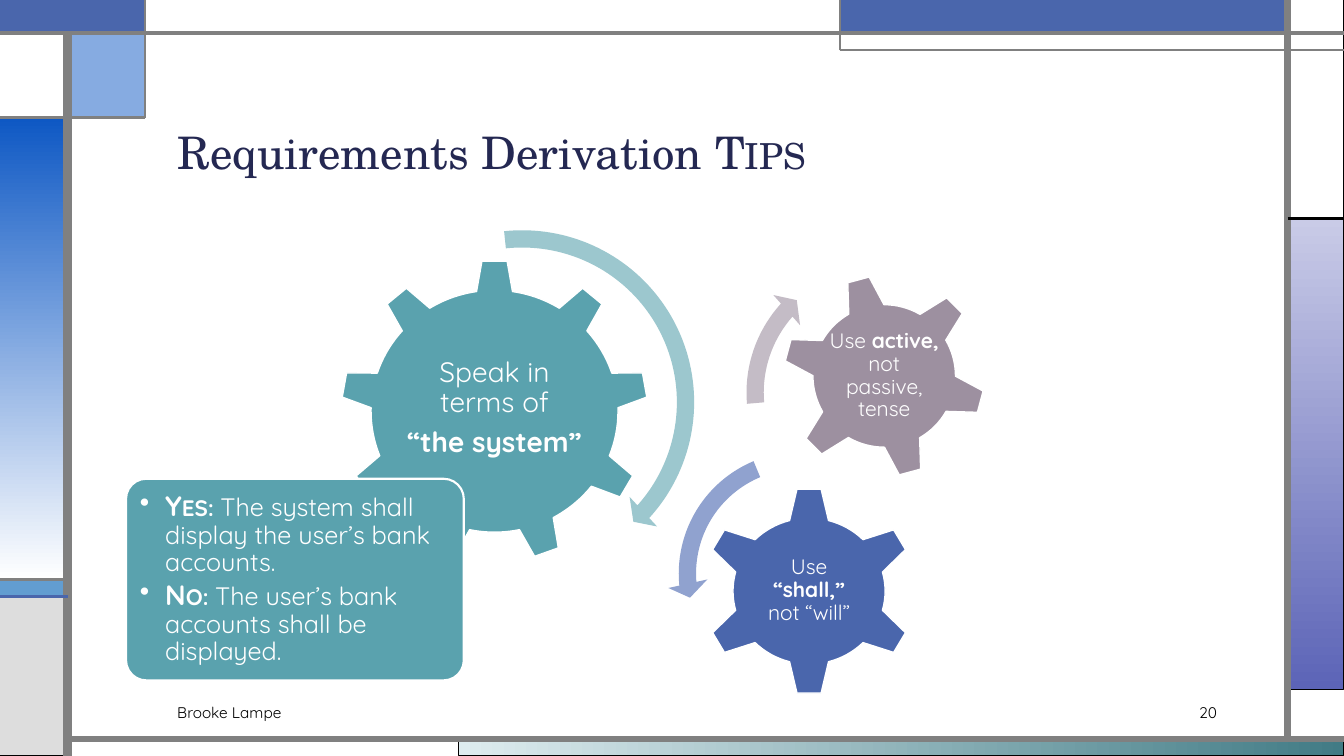
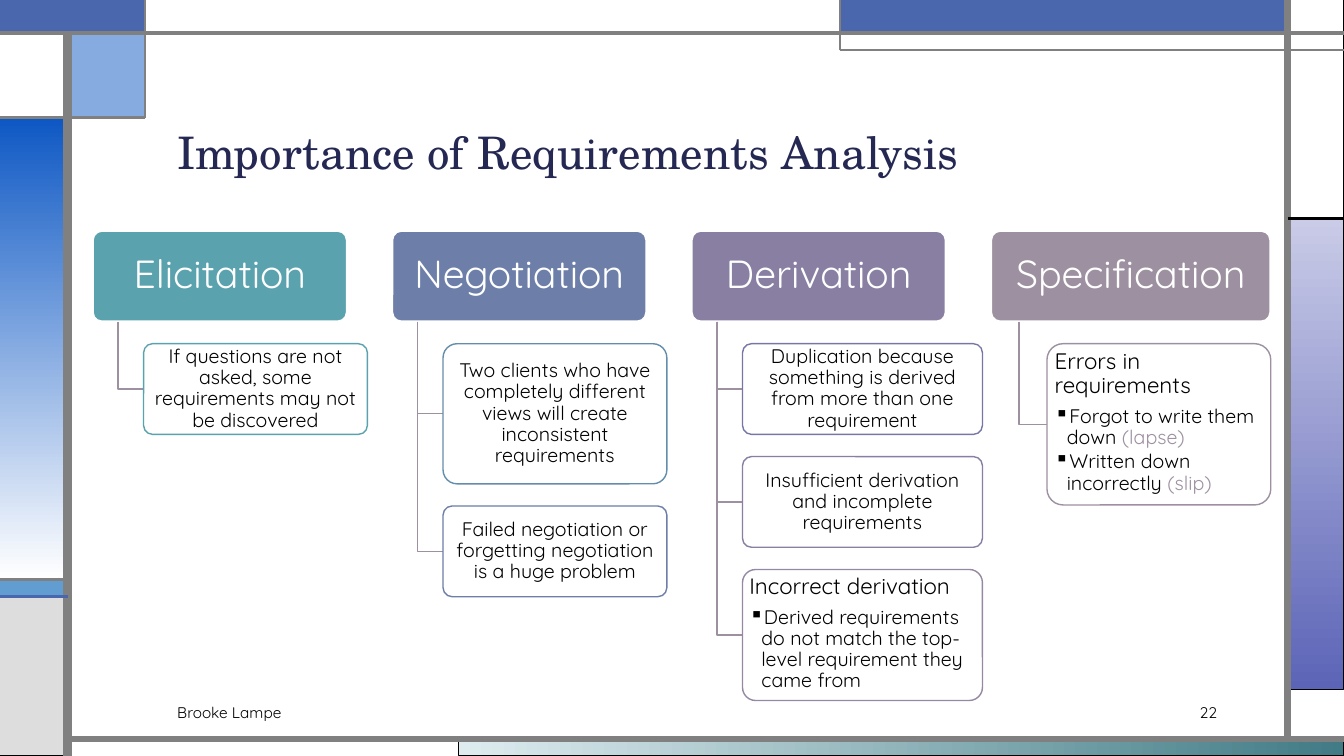
"""Builds two slides on requirements: derivation tips and importance of analysis."""
import lxml.etree
import pptx
import pptx.dml.color
import pptx.enum.shapes
import pptx.enum.text
import pptx.oxml.ns
import pptx.util

Inches, Pt = pptx.util.Inches, pptx.util.Pt
RGB = pptx.dml.color.RGBColor
SHAPE = pptx.enum.shapes.MSO_SHAPE
ALIGN = pptx.enum.text.PP_ALIGN
ANCHOR = pptx.enum.text.MSO_ANCHOR
qn = pptx.oxml.ns.qn

WHITE, BLACK, GRAY = RGB(255, 255, 255), RGB(0, 0, 0), RGB(0x80, 0x80, 0x80)
SILVER, NAVY = RGB(0xDD, 0xDD, 0xDD), RGB(0x24, 0x28, 0x52)
BLUE, COBALT = RGB(0x4A, 0x66, 0xAC), RGB(0x0E, 0x58, 0xC4)
SKY, AZURE = RGB(0x62, 0x9D, 0xD1), RGB(0x29, 0x7F, 0xD5)
MIST, PINE = RGB(0xDE, 0xEC, 0xEF), RGB(0x41, 0x7B, 0x85)
LILAC, INDIGO = RGB(0xC9, 0xCB, 0xE7), RGB(0x5C, 0x64, 0xB7)
TEAL, STEEL = RGB(0x5A, 0xA2, 0xAE), RGB(0x64, 0x8D, 0xAB)
SLATE, VIOLET = RGB(0x6D, 0x7F, 0xA8), RGB(0x76, 0x77, 0xA6)
PURPLE, PLUM = RGB(0x88, 0x7F, 0xA3), RGB(0x96, 0x88, 0xA2)
MAUVE = RGB(0x9D, 0x90, 0xA0)
PALE_TEAL, PALE_BLUE = RGB(0x9C, 0xC7, 0xCE), RGB(0x90, 0xA2, 0xCF)
PALE_MAUVE = RGB(0xC4, 0xBC, 0xC6)

BODY_FONT, TITLE_FONT = "Quicksand", "TeX Gyre Schola"
AUTHOR = "Brooke Lampe"
WIDTH, HEIGHT = 13.33, 7.5
LEFT, RIGHT, TOP, BOTTOM = 0.67, 12.77, 0.33, 7.33
CORNER_X, CORNER_Y, BANNER_X, BANNER_Y = 1.44, 1.17, 8.33, 0.5
SIDE_Y, STRIPE_Y, BLOCK_Y = 2.17, 5.75, 5.92

FRAME_PANELS = [
    ((4.55, BOTTOM, WIDTH, HEIGHT), (MIST, PINE, 0), BLACK, 0.75),
    ((RIGHT, SIDE_Y, WIDTH, 6.84), (LILAC, INDIGO, 270), BLACK, 0.75),
    ((0, STRIPE_Y, LEFT, BLOCK_Y), SKY, BLACK, 0.75),
    ((0, BLOCK_Y, LEFT, HEIGHT), SILVER, BLACK, 0.75),
    ((RIGHT, 0, WIDTH, SIDE_Y), WHITE, BLACK, 0.75),
    ((BANNER_X, 0, RIGHT, TOP), BLUE, AZURE, 0.75),
    ((LEFT, TOP, CORNER_X, CORNER_Y), (COBALT, 50), BLACK, 0.75),
    ((0, CORNER_Y, LEFT, STRIPE_Y), (COBALT, WHITE, 270), BLACK, 0.75),
    ((0, TOP, LEFT, CORNER_Y), WHITE, BLACK, 0.75),
    ((0, 0, CORNER_X, TOP), BLUE, BLUE, 1.5),
    ((CORNER_X, 0, BANNER_X, TOP), WHITE, GRAY, 0.75),
]
FRAME_LINES = [
    ((LEFT, HEIGHT, LEFT, TOP), GRAY, 6),
    ((LEFT, BOTTOM, WIDTH, BOTTOM), GRAY, 4.5),
    ((RIGHT, BOTTOM, RIGHT, 0), GRAY, 4.5),
    ((0, TOP, WIDTH, TOP), GRAY, 3),
    ((WIDTH, BANNER_Y, BANNER_X, BANNER_Y), GRAY, 1.5),
    ((BANNER_X, BANNER_Y, BANNER_X, 0), GRAY, 1.5),
    ((RIGHT, SIDE_Y, WIDTH, SIDE_Y), BLACK, 2.25),
    ((CORNER_X, 0, CORNER_X, CORNER_Y), GRAY, 1.5),
    ((CORNER_X, CORNER_Y, 0, CORNER_Y), GRAY, 2.25),
    ((LEFT, STRIPE_Y, 0, STRIPE_Y), GRAY, 2.25),
    ((LEFT, BLOCK_Y, 0, BLOCK_Y), BLUE, 2.25),
]

BOLD = {"bold": True}
LABEL = {"size": 20, "bold": True, "small_caps": True}
FADED = {"color": MAUVE}

TIPS_TITLE = ["Requirements Derivation ", ("Tips", {"small_caps": True})]
SYSTEM_GEAR = (SHAPE.GEAR_9, (3.38, 2.58, 3.05, 3), 0, TEAL, (3.99, 3.28, 1.83, 1.54), 20,
               [["Speak in terms of"], [("“the system”", BOLD)]])
SMALL_GEARS = [
    (SHAPE.GEAR_6, (6.96, 4.83, 2.13, 2.07), 0, BLUE, (7.49, 5.35, 1.07, 1.02), 15,
     [["Use ", ("“shall,” ", BOLD), "not “will”"]]),
    (SHAPE.GEAR_6, (7.76, 2.72, 2.02, 2.02), 345, MAUVE, (8.2, 3.16, 1.14, 1.14), 15,
     [["Use ", ("active,", BOLD), " not passive, tense"]]),
]
EXAMPLES = [
    [("Yes: ", LABEL), "The system shall display the user’s bank accounts."],
    [("No: ", LABEL), "The user’s bank accounts shall be displayed."],
]
SWEEPS = [
    (SHAPE.CIRCULAR_ARROW, (3.36, 2.17, 3.64), PALE_TEAL, 4.7, (4.98, 42.13, 263.95), 5.5),
    (SHAPE.LEFT_CIRCULAR_ARROW, (6.62, 4.37, 2.64), PALE_BLUE, 6.5, (7.17, 174.82, 247.3), 7.5),
    (SHAPE.CIRCULAR_ARROW, (7.29, 2.47, 2.85), PALE_MAUVE, 6, (6.57, 221.9, 175.14), 7),
]

STAGES_TITLE = ["Importance of Requirements Analysis"]
STAGES = [
    ("Elicitation", TEAL, 2.52, 2.22, [
        (0.9, TEAL, "If questions are not asked, some requirements may not be discovered", []),
    ]),
    ("Negotiation", SLATE, 2.52, 2.22, [
        (1.39, STEEL, "Two clients who have completely different views will create "
                      "inconsistent requirements", []),
        (0.9, SLATE, "Failed negotiation or forgetting negotiation is a huge problem", []),
    ]),
    ("Derivation", PURPLE, 2.52, 2.38, [
        (0.9, VIOLET, "Duplication because something is derived from more than one "
                      "requirement", []),
        (0.9, PURPLE, "Insufficient derivation and incomplete requirements", []),
        (1.3, PLUM, "Incorrect derivation", [
            ["Derived requirements do not match the top-level requirement they came from"],
        ]),
    ]),
    ("Specification", MAUVE, 2.77, 2.22, [
        (1.6, MAUVE, "Errors in requirements", [
            ["Forgot to write them down ", ("(lapse)", FADED)],
            ["Written down incorrectly ", ("(slip)", FADED)],
        ]),
    ]),
]
STAGE_X, STAGE_Y, STAGE_PITCH, STAGE_HEIGHT, CARD_GAP = 0.92, 2.29, 2.97, 0.9, 0.22


def write(frame, paragraphs, insets=(0.1, 0.05), anchor=ANCHOR.MIDDLE, **style):
    """Write paragraphs, each a list of runs or a (runs, style) pair."""
    frame.word_wrap = True
    frame.vertical_anchor = anchor
    frame.margin_left = frame.margin_right = Inches(insets[0])
    frame.margin_top = frame.margin_bottom = Inches(insets[1])
    for index, entry in enumerate(paragraphs):
        runs, own = entry if isinstance(entry, tuple) else (entry, {})
        look = {"size": 14, "color": BLACK, "font": BODY_FONT, **style, **own}
        paragraph = frame.paragraphs[0] if index == 0 else frame.add_paragraph()
        paragraph.alignment = look.get("align", ALIGN.LEFT)
        paragraph.line_spacing = look.get("line_spacing", 0.9)
        paragraph.space_after = Pt(round(look["size"] * look.get("after", 0), 1))
        if "bullet" in look:
            paragraph.level = 1
            properties = paragraph._p.get_or_add_pPr()
            properties.set("marL", str(Inches(look["indent"])))
            properties.set("indent", str(-Inches(look["indent"])))
            lxml.etree.SubElement(properties, qn("a:buChar")).set("char", look["bullet"])
        for part in runs:
            words, emphasis = part if isinstance(part, tuple) else (part, {})
            face = {**look, **emphasis}
            run = paragraph.add_run()
            run.text = words
            run.font.name = face["font"]
            run.font.size = Pt(face["size"])
            run.font.color.rgb = face["color"]
            run.font.bold = face.get("bold", False)
            if face.get("small_caps"):
                run._r.get_or_add_rPr().set("cap", "small")


def add_text(slide, box, paragraphs, **style):
    """Add a text box at (left, top, width, height)."""
    write(slide.shapes.add_textbox(*map(Inches, box)).text_frame, paragraphs, **style)


def finish(shape, fill=None, line=None, weight=1):
    """Paint a shape; fill is a colour, (colour, opacity) or (start, end, angle)."""
    if fill is None:
        shape.fill.background()
    elif isinstance(fill, tuple) and len(fill) == 3 and not isinstance(fill, RGB):
        shape.fill.gradient()
        shape.fill.gradient_angle = fill[2]
        for stop, color in zip(shape.fill.gradient_stops, fill):
            stop.color.rgb = color
    else:
        color, opacity = (fill, 100) if isinstance(fill, RGB) else fill
        shape.fill.solid()
        shape.fill.fore_color.rgb = color
        if opacity < 100:
            solid = shape.element.spPr.find(qn("a:solidFill"))
            lxml.etree.SubElement(solid[0], qn("a:alpha")).set("val", str(opacity * 1000))
    if line is None:
        shape.line.fill.background()
    else:
        shape.line.color.rgb = line
        shape.line.width = Pt(weight)
    shape.shadow.inherit = False
    return shape


def add_shape(slide, kind, box, *paint):
    """Add a painted preset shape at (left, top, width, height)."""
    return finish(slide.shapes.add_shape(kind, *map(Inches, box)), *paint)


def add_rounded(slide, box, *paint):
    """Add a rounded box with the shared corner radius."""
    rounded = add_shape(slide, SHAPE.ROUNDED_RECTANGLE, box, *paint)
    rounded.adjustments[0] = 0.1
    return rounded


def build_frame(slide, layout):
    """Draw the decorative frame and move it to the layout."""
    for placeholder in list(layout.placeholders):
        layout.shapes.element.remove(placeholder.element)
    for (left, top, right, bottom), *paint in FRAME_PANELS:
        add_shape(slide, SHAPE.RECTANGLE, (left, top, right - left, bottom - top), *paint)
    for ends, color, weight in FRAME_LINES:
        rule = slide.shapes.add_connector(
            pptx.enum.shapes.MSO_CONNECTOR.STRAIGHT, *map(Inches, ends))
        rule.line.color.rgb = color
        rule.line.width = Pt(weight)
        lxml.etree.SubElement(rule.element.spPr, qn("a:effectLst"))
    for piece in list(slide.shapes):
        layout.shapes.element.append(piece.element)


def add_heading_and_footer(slide, title, number):
    """Add the title, author and page number."""
    add_text(slide, (1.66, 0.58, 10.5, 1.25), [title], anchor=ANCHOR.BOTTOM,
             size=32, font=TITLE_FONT, color=NAVY)
    add_text(slide, (1.66, 6.92, 7.5, 0.3), [[AUTHOR]], size=11, line_spacing=1)
    add_text(slide, (11.09, 6.92, 1.08, 0.3), [[number]], size=11, line_spacing=1,
             align=ALIGN.RIGHT)


def add_gear(slide, kind, box, turn, color, text_box, size, paragraphs):
    """Add a gear with upright text over it."""
    add_shape(slide, kind, box, color, WHITE, 1).rotation = turn
    add_text(slide, text_box, paragraphs, insets=(0.02, 0.02), size=size, color=WHITE,
             align=ALIGN.CENTER, after=0.35)


def build_tips(slide):
    """Draw the gears, the example box and the curved arrows."""
    add_gear(slide, *SYSTEM_GEAR)
    examples = add_rounded(slide, (1.25, 4.75, 3.35, 2), TEAL, WHITE, 1.5)
    write(examples.text_frame, EXAMPLES, insets=(0.08, 0.08), anchor=ANCHOR.TOP, size=18,
          color=WHITE, bullet="•", indent=0.25, after=0.15)
    for gear in SMALL_GEARS:
        add_gear(slide, *gear)
    for kind, (left, top, side), color, thickness, angles, head in SWEEPS:
        sweep = add_shape(slide, kind, (left, top, side, side), color)
        values = [thickness / 100, *(angle * 0.6 for angle in angles), head / 100]
        for index, value in enumerate(values):
            sweep.adjustments[index] = value


def build_stages(slide):
    """Draw each stage header with its cards hanging below."""
    header_bottom = STAGE_Y + STAGE_HEIGHT
    for column, (stage, color, width, card_width, cards) in enumerate(STAGES):
        left = STAGE_X + column * STAGE_PITCH
        header = add_rounded(slide, (left, STAGE_Y, width, STAGE_HEIGHT), color, WHITE, 1.5)
        write(header.text_frame, [[stage]], insets=(0.06, 0.04), size=28, color=WHITE,
              align=ALIGN.CENTER, after=0.35)
        trunk, card_left = left + width * 0.1, left + width * 0.2
        top = header_bottom + CARD_GAP
        for height, outline, lead, points in cards:
            middle = top + height / 2
            branch = slide.shapes.build_freeform(Inches(trunk), Inches(header_bottom))
            branch.add_line_segments(
                [(Inches(trunk), Inches(middle)), (Inches(card_left), Inches(middle))],
                close=False)
            finish(branch.convert_to_shape(), None, MAUVE, 1)
            card = add_rounded(slide, (card_left, top, card_width, height),
                               (WHITE, 90), outline, 1)
            lead_style = {"size": 16} if points else {"align": ALIGN.CENTER}
            bullets = [(point, {"bullet": "▪", "indent": 0.12, "after": 0.15})
                       for point in points]
            write(card.text_frame, [([lead], {"after": 0.35, **lead_style}), *bullets],
                  insets=(0.03, 0.02), anchor=ANCHOR.TOP if points else ANCHOR.MIDDLE)
            top += height + CARD_GAP


def main():
    """Build and save the presentation."""
    deck = pptx.Presentation()
    deck.slide_width, deck.slide_height = Inches(WIDTH), Inches(HEIGHT)
    blank = deck.slide_layouts[6]
    tips, stages = deck.slides.add_slide(blank), deck.slides.add_slide(blank)
    build_frame(tips, blank)
    add_heading_and_footer(tips, TIPS_TITLE, "20")
    build_tips(tips)
    add_heading_and_footer(stages, STAGES_TITLE, "22")
    build_stages(stages)
    deck.save("out.pptx")


if __name__ == "__main__":
    main()
